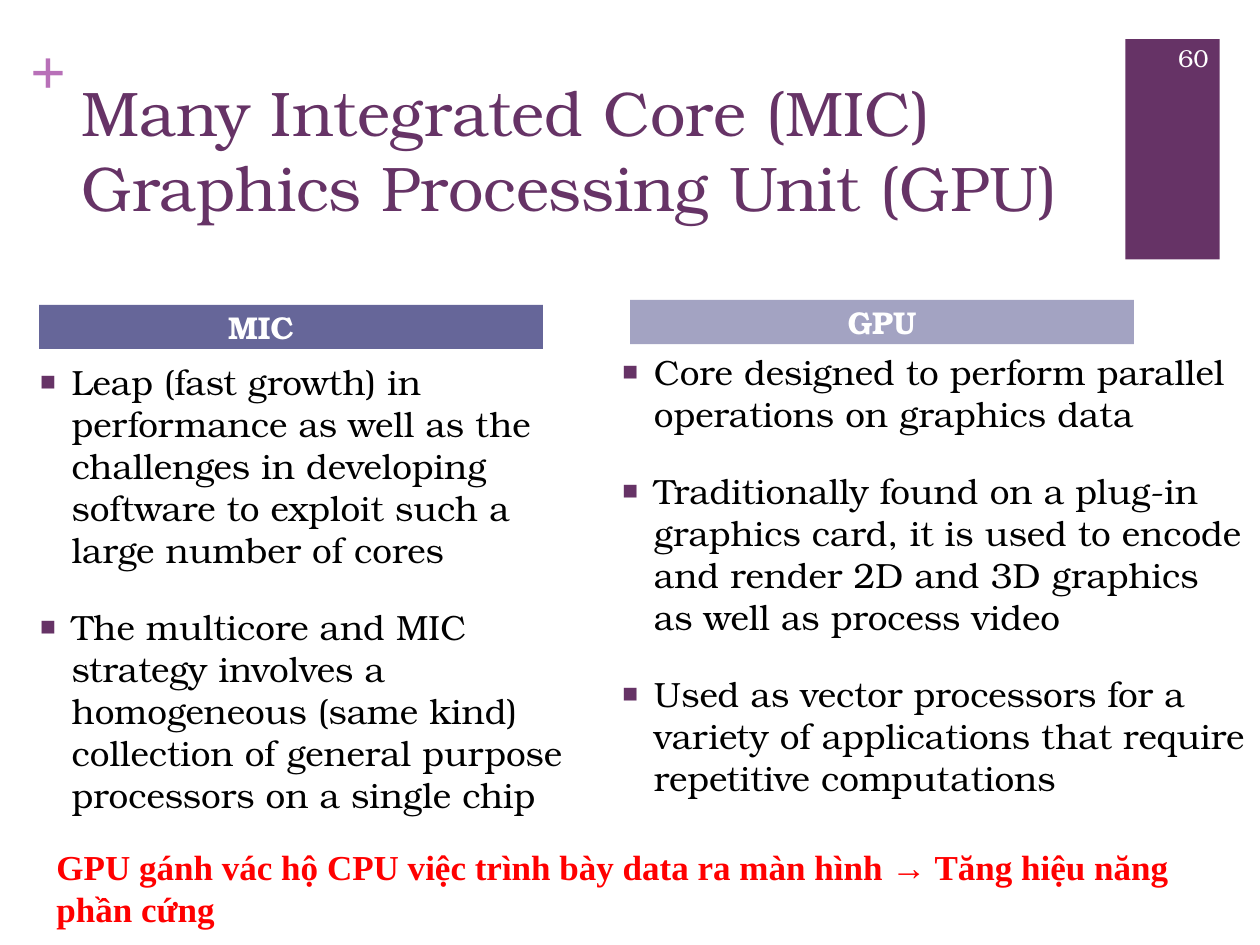
from lxml import etree
from pptx import Presentation
from pptx.dml.color import RGBColor
from pptx.enum.shapes import MSO_SHAPE
from pptx.enum.text import MSO_ANCHOR, MSO_AUTO_SIZE, PP_ALIGN
from pptx.oxml.ns import qn
from pptx.util import Pt

RECTANGLE = MSO_SHAPE.RECTANGLE
TOP, MIDDLE = MSO_ANCHOR.TOP, MSO_ANCHOR.MIDDLE
LEFT, CENTER, RIGHT = PP_ALIGN.LEFT, PP_ALIGN.CENTER, PP_ALIGN.RIGHT
NO_AUTOFIT = MSO_AUTO_SIZE.NONE
SERIF, TIMES = "TeX Gyre Bonum", "Times New Roman"
PURPLE, WHITE = "663366", "FFFFFF"

MIC_POINTS = [
    "Leap (fast growth) in performance as well as the challenges in developing "
    "software to exploit such a large number of cores",
    "The multicore and MIC strategy involves a homogeneous (same kind) "
    "collection of general purpose processors on a single chip",
]
GPU_POINTS = [
    "Core designed to perform parallel operations on graphics data",
    "Traditionally found on a plug-in graphics card, it is used to encode and "
    "render 2D and 3D graphics as well as process video",
    "Used as vector processors for a variety of applications that require "
    "repetitive computations",
]


def color(value):
    """Turn a hex string into a colour."""
    return RGBColor.from_string(value)


def place(box, left, top, width, height):
    """Move and size a box in points."""
    box.left, box.top = Pt(left), Pt(top)
    box.width, box.height = Pt(width), Pt(height)


def write(box, text, size, ink, font=SERIF, bold=False, align=LEFT, anchor=TOP):
    """Fill a box with text in one style."""
    frame = box.text_frame
    frame.text = text
    frame.word_wrap = True
    frame.auto_size = NO_AUTOFIT
    frame.vertical_anchor = anchor
    for para in frame.paragraphs:
        para.alignment = align
        for span in para.runs:
            span.font.size = Pt(size)
            span.font.name = font
            span.font.bold = bold
            span.font.color.rgb = color(ink)


def set_margins(box, side, end, vertical=0):
    """Set the inner margins of a box in points."""
    frame = box.text_frame
    frame.margin_left, frame.margin_right = Pt(side), Pt(end)
    frame.margin_top = frame.margin_bottom = Pt(vertical)


def add_bullet(para):
    """Give a paragraph a hanging purple square bullet."""
    para.space_before = Pt(20)
    properties = para._p.get_or_add_pPr()
    properties.set("marL", str(Pt(18)))
    properties.set("indent", str(Pt(-18)))
    bullet_color = etree.SubElement(properties, qn("a:buClr"))
    etree.SubElement(bullet_color, qn("a:srgbClr"), val=PURPLE)
    etree.SubElement(properties, qn("a:buSzPct"), val="75000")
    etree.SubElement(properties, qn("a:buChar"), char="■")


def fill_list(box, points, area):
    """Write a bulleted list into a body placeholder."""
    place(box, *area)
    write(box, "\n".join(points), 20, "000000")
    for para in box.text_frame.paragraphs:
        add_bullet(para)


def fill_heading(box, text, fill, left, top, end_margin=7.2):
    """Turn a body placeholder into a coloured column heading."""
    place(box, left, top, 288, 25.2)
    box.fill.solid()
    box.fill.fore_color.rgb = color(fill)
    write(box, text, 18, WHITE, bold=True, align=CENTER, anchor=MIDDLE)
    set_margins(box, 7.2, end_margin)


def add_band(page, left, top, width, height):
    """Draw the plain purple corner band."""
    band = page.shapes.add_shape(RECTANGLE, Pt(left), Pt(top), Pt(width), Pt(height))
    band.shadow.inherit = False
    band.fill.solid()
    band.fill.fore_color.rgb = color(PURPLE)
    band.line.fill.background()


def add_label(page, area, text, size, ink, **style):
    """Add a text box and return it."""
    box = page.shapes.add_textbox(*map(Pt, area))
    write(box, text, size, ink, **style)
    return box


def main():
    """Build the slide and save it."""
    deck = Presentation()
    deck.slide_width, deck.slide_height = Pt(720), Pt(540)
    page = deck.slides.add_slide(deck.slide_layouts[4])
    title, mic_heading, mic_list, gpu_heading, gpu_list = page.placeholders

    add_band(page, 643, 22.3, 54, 126)
    plus = add_label(page, (17.3, 18, 20.9, 43.9), "+", 36, "B870B8",
                     font=TIMES, bold=True)
    set_margins(plus, 0, 0)

    place(title, 39.6, 38.2, 594.7, 105.8)
    write(title, "Many Integrated Core (MIC)\vGraphics Processing Unit (GPU)", 36, PURPLE)

    fill_list(mic_list, MIC_POINTS, (15.8, 202.3, 326.9, 264.2))
    fill_list(gpu_list, GPU_POINTS, (348.5, 196.6, 371.5, 275.8))
    fill_heading(mic_heading, "MIC", "666699", 22.3, 174.2, end_margin=41.5)
    fill_heading(gpu_heading, "GPU", "A3A3C2", 360, 171.4)

    add_label(page, (653.8, 18.7, 43.9, 28.8), "60", 14, WHITE,
              align=RIGHT, anchor=MIDDLE)
    add_label(page, (25.2, 479.5, 674.6, 55.4),
              "GPU gánh vác hộ CPU việc trình bày data ra màn hình → "
              "Tăng hiệu năng phần cứng",
              20, "FF0000", font=TIMES, bold=True)
    deck.save("out.pptx")


if __name__ == "__main__":
    main()
